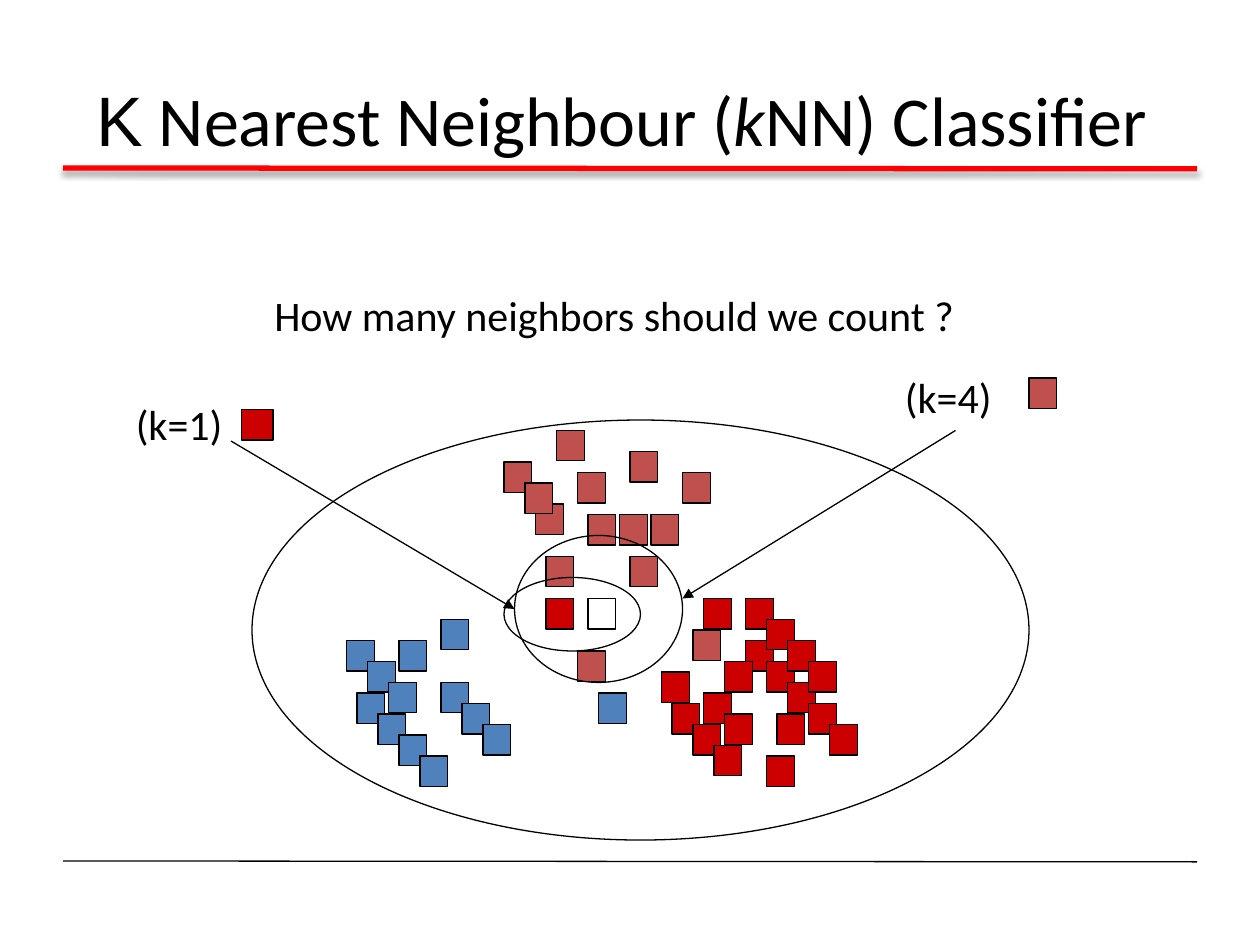
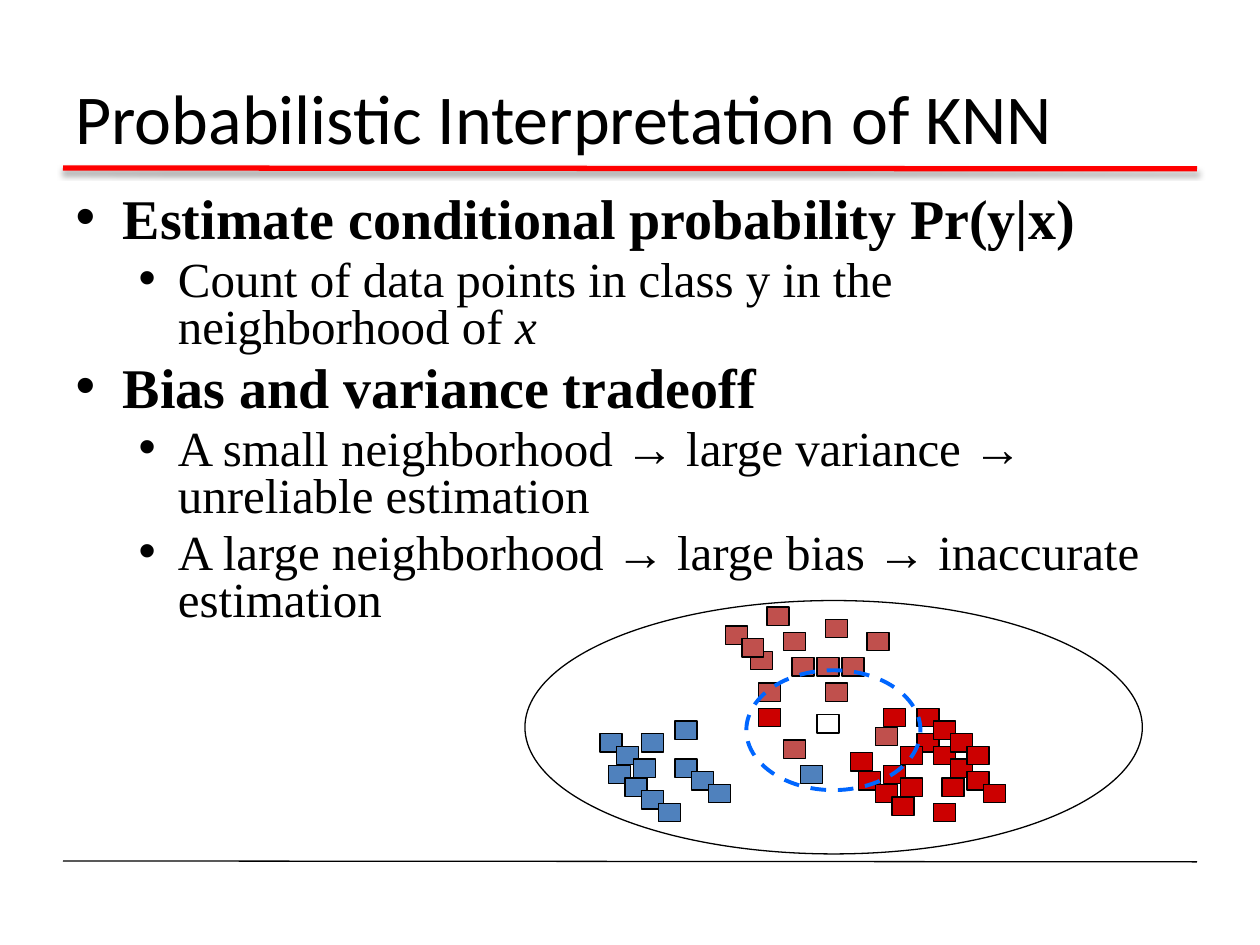
from lxml.etree import SubElement
from pptx import Presentation
from pptx.dml.color import RGBColor
from pptx.enum.dml import MSO_LINE
from pptx.enum.shapes import MSO_CONNECTOR, MSO_SHAPE
from pptx.enum.text import MSO_ANCHOR, MSO_AUTO_SIZE, PP_ALIGN
from pptx.oxml.ns import qn
from pptx.util import Pt

BLACK = RGBColor(0x00, 0x00, 0x00)
RULE_RED = RGBColor(0xFF, 0x00, 0x00)
CLASS_BLUE = RGBColor(0x4F, 0x81, 0xBD)
CLASS_CORAL = RGBColor(0xC0, 0x50, 0x4D)
CLASS_RED = RGBColor(0xCC, 0x00, 0x00)
DASH_BLUE = RGBColor(0x00, 0x66, 0xFF)

TITLE = {"name": "Calibri", "size": Pt(40)}
LABEL = {"name": "Calibri", "size": Pt(24)}
LEVELS = [
    {"font": {"name": "Times New Roman", "size": Pt(32), "bold": True},
     "left": 27, "hanging": 27, "before": 6.4},
    {"font": {"name": "Times New Roman", "size": Pt(28), "bold": False},
     "left": 58.5, "hanging": 22.5, "before": 5.6},
]

# Data points by class, in cells of the field that the large ellipse fills
FIELD_COLUMNS, FIELD_ROWS = 74, 40
POINT_WIDTH, POINT_HEIGHT = 2.64, 2.9
POINTS = {
    CLASS_BLUE: [
        (9, 21), (10, 26), (18, 25), (14, 21), (11, 23), (12, 28), (20, 27),
        (18, 19), (13, 25), (14, 30), (22, 29), (33, 26), (16, 32)],
    CLASS_RED: [
        (43, 17), (39, 24), (47, 21), (47, 17), (40, 27), (28, 17), (45, 23),
        (49, 23), (49, 19), (42, 29), (51, 25), (43, 26), (50, 28), (51, 21),
        (44, 31), (45, 28), (53, 27), (53, 23), (49, 32), (55, 29)],
    CLASS_CORAL: [
        (38, 9), (24, 4), (29, 1), (27, 8), (26, 6), (36, 3), (28, 13),
        (41, 5), (35, 9), (31, 5), (32, 9), (31, 22), (36, 13), (42, 20)],
}


def set_format(font, values):
    for name, value in values.items():
        setattr(font, name, value)
    font.color.rgb = BLACK


def add_spans(para, spans, base):
    """Add (text, changes) spans to a paragraph on top of a base format."""
    for text, changes in spans:
        span = para.add_run()
        span.text = text
        set_format(span.font, {**base, **changes})


def add_outline(shapes, kind, box, fill=None, color=BLACK, width=0.75):
    shape = shapes.add_shape(kind, *map(Pt, box))
    shape.shadow.inherit = False
    if fill is None:
        shape.fill.background()
    else:
        shape.fill.solid()
        shape.fill.fore_color.rgb = fill
    shape.line.color.rgb = color
    shape.line.width = Pt(width)
    return shape


def add_line(shapes, start, end, color=BLACK, width=0.75):
    """Draw a plain line and return it with its empty effect list."""
    line = shapes.add_connector(MSO_CONNECTOR.STRAIGHT, *map(Pt, start + end))
    line.line.color.rgb = color
    line.line.width = Pt(width)
    effects = SubElement(line.element.spPr, qn("a:effectLst"))
    return line, effects


def add_arrow(shapes, start, end):
    line, _ = add_line(shapes, start, end)
    outline = line.element.spPr.find(qn("a:ln"))
    SubElement(outline, qn("a:tailEnd"), type="triangle")


def add_label(shapes, box, text, align=PP_ALIGN.LEFT, wrap=False):
    label = shapes.add_textbox(*map(Pt, box))
    label.text_frame.word_wrap = wrap
    para = label.text_frame.paragraphs[0]
    para.alignment = align
    add_spans(para, [(text, {})], LABEL)


def place(holder, box, anchor):
    holder.left, holder.top, holder.width, holder.height = map(Pt, box)
    frame = holder.text_frame
    frame.auto_size = MSO_AUTO_SIZE.NONE
    frame.word_wrap = True
    frame.vertical_anchor = anchor
    return frame


def add_page(deck, layout, title_box, title_spans):
    """Start a page with the shared rules and title style."""
    page = deck.slides.add_slide(deck.slide_layouts.get_by_name(layout))

    # Red title rule with its soft shadow, and thin footer rule
    _, effects = add_line(page.shapes, (36, 96), (684, 96.5), RULE_RED, 3)
    shadow = SubElement(effects, qn("a:outerShdw"), blurRad=str(Pt(3.1)),
                        dist=str(Pt(1.8)), dir="5400000", rotWithShape="0")
    shade = SubElement(shadow, qn("a:srgbClr"), val=str(BLACK))
    SubElement(shade, qn("a:alpha"), val="35000")
    add_line(page.shapes, (36, 492), (684, 492.5))

    # Title
    frame = place(page.shapes.title, title_box, MSO_ANCHOR.MIDDLE)
    para = frame.paragraphs[0]
    para.alignment = PP_ALIGN.LEFT
    add_spans(para, title_spans, TITLE)
    return page


def add_point_field(page, box, query_cell):
    """Draw the class points and the unlabelled query, scaled to the box."""
    left, top, width, height = box
    column, row = width / FIELD_COLUMNS, height / FIELD_ROWS
    group = page.shapes.add_group_shape()
    add_outline(group.shapes, MSO_SHAPE.OVAL, box)
    cells = [(cell, color) for color, cluster in POINTS.items() for cell in cluster]
    for (x, y), color in cells + [(query_cell, None)]:
        point_box = (left + x * column, top + y * row,
                     POINT_WIDTH * column, POINT_HEIGHT * row)
        add_outline(group.shapes, MSO_SHAPE.RECTANGLE, point_box, color)
    return group


def add_neighbourhood(page, text, label_box, key_box, key_color, arrow, ring_box):
    """Draw one choice of k: its ring, label, class key and arrow."""
    add_outline(page.shapes, MSO_SHAPE.RECTANGLE, key_box, key_color)
    add_outline(page.shapes, MSO_SHAPE.OVAL, ring_box)
    add_label(page.shapes, label_box, text)
    add_arrow(page.shapes, *arrow)


def add_bullets(page, box, items):
    frame = place(page.placeholders[1], box, MSO_ANCHOR.TOP)
    for index, (level, spans) in enumerate(items):
        style = LEVELS[level]
        para = frame.add_paragraph() if index else frame.paragraphs[0]
        properties = para._p.get_or_add_pPr()
        properties.set("marL", str(Pt(style["left"])))
        properties.set("indent", str(-Pt(style["hanging"])))
        SubElement(properties, qn("a:buFont"), typeface="Arial")
        SubElement(properties, qn("a:buChar"), char="•")
        para.level = level
        para.line_spacing = 0.8
        para.space_before = Pt(style["before"] if index else 0)
        add_spans(para, spans, style["font"])


def build_classifier_page(deck):
    page = add_page(deck, "Title Only", (48, 22.5, 654, 90), [
        ("K", {"name": "Arial"}), (" Nearest Neighbour (", {}),
        ("k", {"italic": True}), ("NN) Classifier", {})])
    add_point_field(page, (144, 240, 444, 240), (32, 17))
    add_neighbourhood(page, "(k=1)", (70.5, 224, 68, 36), (138, 234, 18, 17.4),
                      CLASS_RED, ((132, 252), (294, 348)), (288, 330, 78, 42))
    add_neighbourhood(page, "(k=4)", (510, 208.5, 74, 36), (588, 216, 15.84, 17.4),
                      CLASS_CORAL, ((546, 246), (390, 342)), (294, 306, 96, 84))
    add_label(page.shapes, (126, 162, 450, 36), "How many neighbors should we count ?",
              PP_ALIGN.CENTER, wrap=True)


def build_interpretation_page(deck):
    page = add_page(deck, "Title and Content", (36, 21.5, 648, 90),
                    [("Probabilistic Interpretation of KNN", {})])
    add_bullets(page, (36, 108.5, 639.5, 246), [
        (0, [("Estimate conditional probability Pr(y|x)", {})]),
        (1, [("Count of data points in class y in the neighborhood of ", {}),
             ("x", {"italic": True})]),
        (0, [("Bias and variance tradeoff", {})]),
        (1, [("A small neighborhood → large variance → unreliable estimation", {})]),
        (1, [("A large neighborhood → large bias → inaccurate estimation", {})]),
    ])
    field = add_point_field(page, (300, 343.2, 352.8, 144.8), (35, 18))
    ring = add_outline(field.shapes, MSO_SHAPE.OVAL, (426.5, 383, 99.5, 68.5),
                       color=DASH_BLUE, width=2.25)
    ring.line.dash_style = MSO_LINE.DASH


def main():
    deck = Presentation()
    deck.slide_width, deck.slide_height = Pt(720), Pt(540)
    build_classifier_page(deck)
    build_interpretation_page(deck)
    deck.save("out.pptx")


if __name__ == "__main__":
    main()
